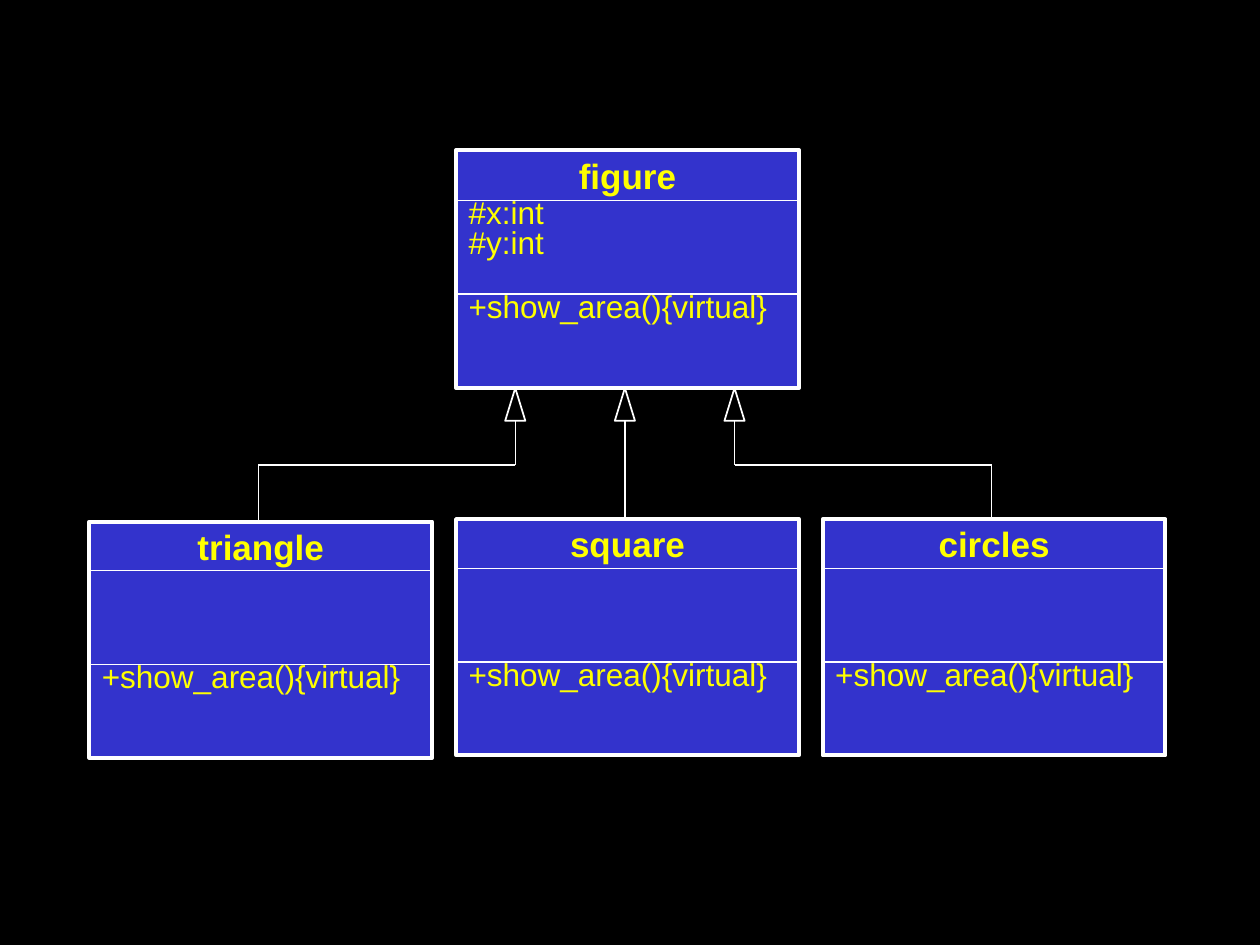
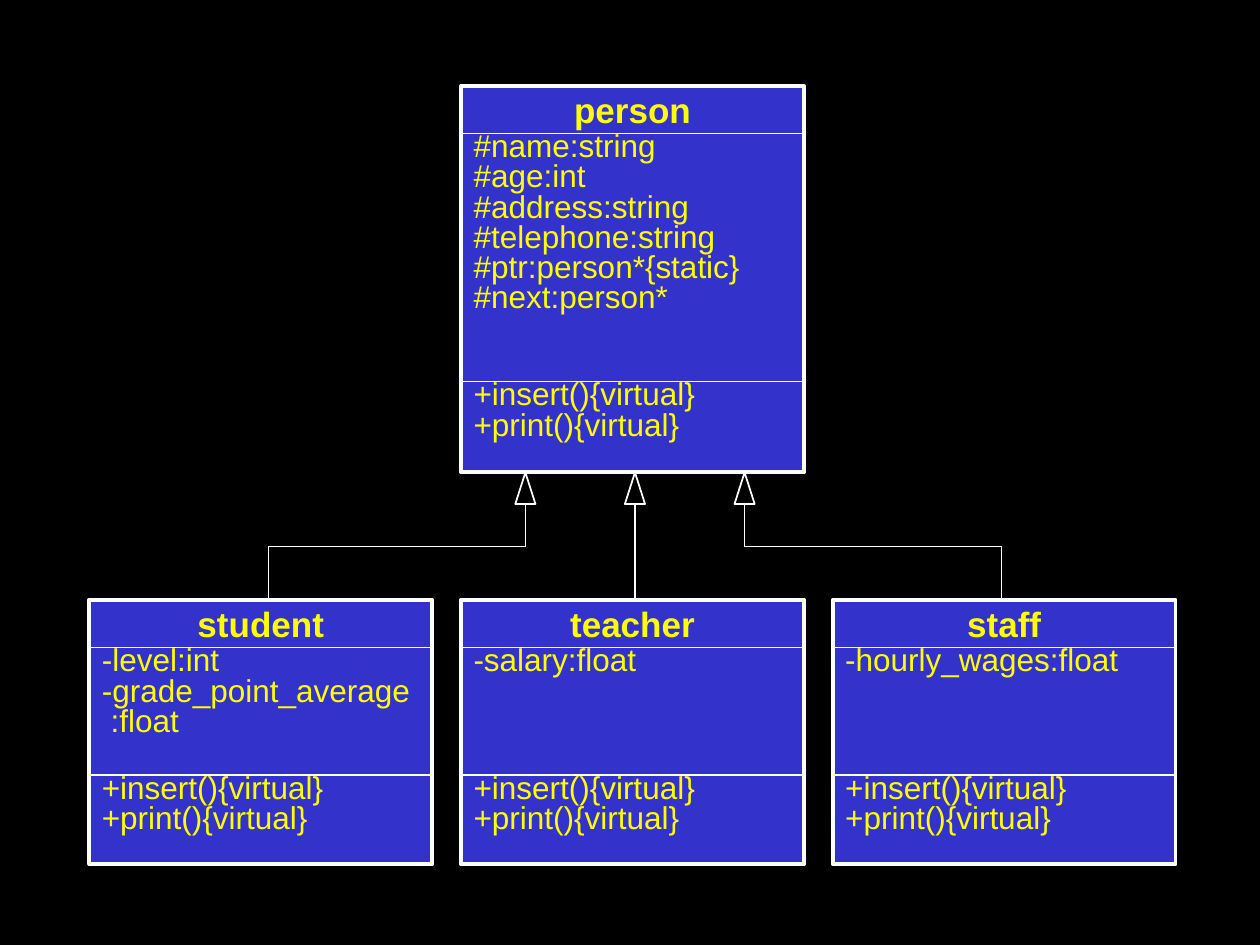
from lxml import etree
from pptx import Presentation
from pptx.dml.color import RGBColor
from pptx.enum.shapes import MSO_CONNECTOR, MSO_SHAPE
from pptx.enum.text import MSO_ANCHOR, PP_ALIGN
from pptx.oxml.ns import qn
from pptx.util import Inches, Pt

BLACK = RGBColor(0x00, 0x00, 0x00)
WHITE = RGBColor(0xFF, 0xFF, 0xFF)
BLUE = RGBColor(0x33, 0x33, 0xCC)
YELLOW = RGBColor(0xFF, 0xFF, 0x00)
RECTANGLE, TRIANGLE = MSO_SHAPE.RECTANGLE, MSO_SHAPE.ISOSCELES_TRIANGLE
STRAIGHT = MSO_CONNECTOR.STRAIGHT
TOP, MIDDLE = MSO_ANCHOR.TOP, MSO_ANCHOR.MIDDLE
LEFT, CENTER = PP_ALIGN.LEFT, PP_ALIGN.CENTER

FONT = "Arial"
NAME_FONT = {"name": FONT, "size": Pt(20), "bold": True}
MEMBER_FONT = {"name": FONT, "size": Pt(18), "bold": False}
MARGINS = {"margin_left": Inches(0.1), "margin_right": Inches(0.1),
           "margin_top": 0, "margin_bottom": 0}

# Grid in inches: three class columns; arrows gather under the parent class
FIRST_COLUMN = 0.71
CLASS_WIDTH = 2.72
STEM_PITCH = 2.91
ARROW_PITCH = 0.87
ARROW_WIDTH = 0.16

# Each class: side (-1 left, 0 middle, 1 right), top, name, attributes, methods
SHOW = ["+show_area(){virtual}"]
INSERT_PRINT = ["+insert(){virtual}", "+print(){virtual}"]
DIAGRAMS = [
    {
        "column_pitch": 2.91, "middle_stem": 4.96, "bend": 3.69, "arrow_height": 0.26,
        "parent_rows": (0.4, 0.745, 0.745), "child_rows": (0.39, 0.745, 0.74),
        "parent": (0, 1.19, "figure", ["#x:int", "#y:int"], SHOW),
        "children": [
            (0, 4.12, "square", [], SHOW),
            (-1, 4.14, "triangle", [], SHOW),
            (1, 4.12, "circles", [], SHOW),
        ],
    },
    {
        "column_pitch": 2.95, "middle_stem": 5.04, "bend": 4.34, "arrow_height": 0.25,
        "parent_rows": (0.38, 1.97, 0.72), "child_rows": (0.38, 1.01, 0.71),
        "parent": (0, 0.68, "person",
                   ["#name:string", "#age:int", "#address:string", "#telephone:string",
                    "#ptr:person*{static}", "#next:person*"], INSERT_PRINT),
        "children": [
            (0, 4.76, "teacher", ["-salary:float"], INSERT_PRINT),
            (-1, 4.76, "student",
             ["-level:int", "-grade_point_average", " :float"], INSERT_PRINT),
            (1, 4.76, "staff", ["-hourly_wages:float"], INSERT_PRINT),
        ],
    },
]


def add_outlined(slide, preset, box, weight, fill=None):
    shape = slide.shapes.add_shape(preset, *map(Inches, box))
    shape.shadow.inherit = False
    if fill is None:
        shape.fill.background()
    else:
        shape.fill.solid()
        shape.fill.fore_color.rgb = fill
    shape.line.color.rgb = WHITE
    shape.line.width = Pt(weight)
    return shape


def add_class(slide, left, top, row_heights, name, attributes, methods):
    """Stack the three compartments of a class and frame them."""
    row_top = top
    compartments = [
        ([name], NAME_FONT, MIDDLE, CENTER, 1.0),
        (attributes, MEMBER_FONT, TOP, LEFT, 0.8),
        (methods, MEMBER_FONT, TOP, LEFT, 0.8),
    ]
    for height, (lines, font, anchor, align, spacing) in zip(row_heights, compartments):
        compartment = add_outlined(slide, RECTANGLE, (left, row_top, CLASS_WIDTH, height),
                                   0.75, BLUE)
        row_top += height
        frame = compartment.text_frame
        frame.word_wrap = True
        frame.vertical_anchor = anchor
        for margin, value in MARGINS.items():
            setattr(frame, margin, value)
        for index, line in enumerate(lines):
            paragraph = frame.add_paragraph() if index else frame.paragraphs[0]
            paragraph.alignment = align
            paragraph.line_spacing = spacing
            run = paragraph.add_run()
            run.text = line
            run.font.color.rgb = YELLOW
            for attribute, value in font.items():
                setattr(run.font, attribute, value)
    add_outlined(slide, RECTANGLE, (left, top, CLASS_WIDTH, sum(row_heights)), 2.25)


prs = Presentation()
prs.slide_width, prs.slide_height = Inches(10), Inches(7.5)

for diagram in DIAGRAMS:
    slide = prs.slides.add_slide(prs.slide_layouts[6])
    slide.background.fill.solid()
    slide.background.fill.fore_color.rgb = BLACK

    middle_column = FIRST_COLUMN + diagram["column_pitch"]
    _, parent_top, *parent_text = diagram["parent"]
    add_class(slide, middle_column, parent_top, diagram["parent_rows"], *parent_text)
    parent_bottom = parent_top + sum(diagram["parent_rows"])
    arrow_bottom = parent_bottom + diagram["arrow_height"]

    for side, top, *child_text in diagram["children"]:
        add_class(slide, middle_column + side * diagram["column_pitch"], top,
                  diagram["child_rows"], *child_text)

        arrow_x = diagram["middle_stem"] + side * ARROW_PITCH
        stem_x = diagram["middle_stem"] + side * STEM_PITCH
        bend = diagram["bend"]
        add_outlined(slide, TRIANGLE, (arrow_x - ARROW_WIDTH / 2, parent_bottom,
                                       ARROW_WIDTH, diagram["arrow_height"]), 1)
        segments = [(arrow_x, arrow_bottom, arrow_x, bend), (stem_x, top, stem_x, bend)]
        if side:
            segments.append((arrow_x, bend, stem_x, bend))
        for ends in segments:
            segment = slide.shapes.add_connector(STRAIGHT, *map(Inches, ends))
            segment.line.color.rgb = WHITE
            segment.line.width = Pt(0.75)
            etree.SubElement(segment._element.spPr, qn("a:effectLst"))

prs.save("out.pptx")
